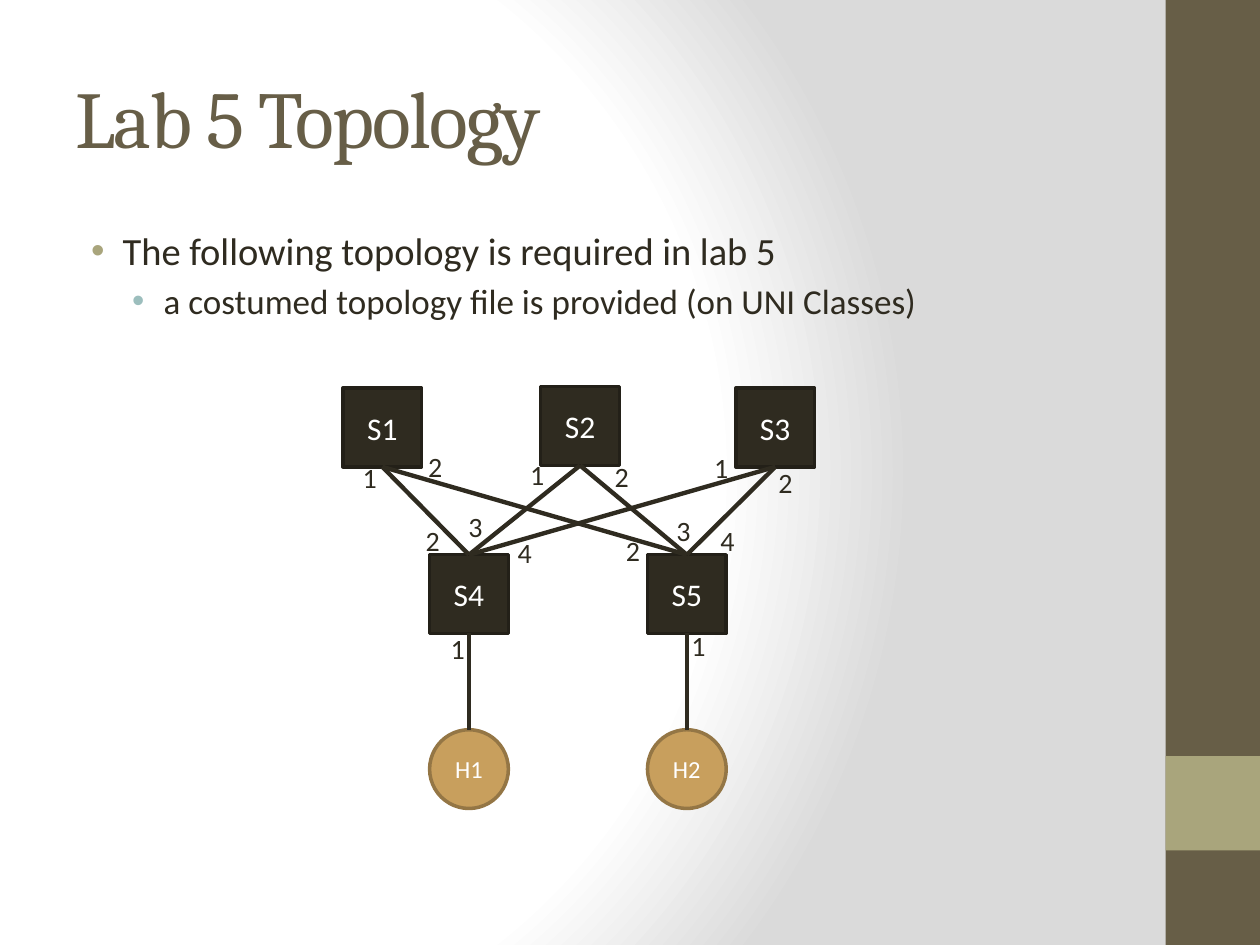
from lxml import etree
from pptx import Presentation
from pptx.dml.color import RGBColor
from pptx.enum.shapes import MSO_CONNECTOR, MSO_SHAPE
from pptx.enum.text import MSO_ANCHOR, PP_ALIGN
from pptx.oxml.ns import qn
from pptx.util import Pt

RECT, OVAL = MSO_SHAPE.RECTANGLE, MSO_SHAPE.OVAL
LINE = MSO_CONNECTOR.STRAIGHT
TOP, MID = MSO_ANCHOR.TOP, MSO_ANCHOR.MIDDLE
LEFT, CENTER = PP_ALIGN.LEFT, PP_ALIGN.CENTER

WHITE = RGBColor(0xFF, 0xFF, 0xFF)
GRAY = RGBColor(0xDA, 0xDA, 0xDA)
BROWN = RGBColor(0x67, 0x5E, 0x47)
OLIVE = RGBColor(0xA9, 0xA5, 0x7C)
TEAL = RGBColor(0x9C, 0xBE, 0xBD)
DARK = RGBColor(0x2F, 0x2B, 0x20)
EDGE = RGBColor(0x23, 0x20, 0x18)
GOLD = RGBColor(0xC8, 0x9F, 0x5D)
RIM = RGBColor(0x94, 0x76, 0x45)

NODE = 45
NODES = {
    "S1": (0, 0.8), "S2": (113, 0), "S3": (224.5, 0.8),
    "S4": (49.5, 96), "S5": (174, 96),
    "H1": (49.5, 196), "H2": (174, 196),
}
LINKS = [(up, low) for up in ("S1", "S2", "S3") for low in ("S4", "S5")]
LINKS += [("S4", "H1"), ("S5", "H2")]
PORTS = [
    ("1", 2.7, 43.2), ("2", 40.2, 36.8),
    ("1", 98.5, 41.8), ("2", 146.7, 42.5),
    ("1", 203.6, 37.5), ("2", 240.3, 46.1),
    ("2", 38.7, 79.2), ("3", 63.2, 71.3), ("4", 91.3, 86.4),
    ("2", 153.2, 85), ("3", 182, 73.5), ("4", 207.2, 79.2),
    ("1", 53.1, 141.2), ("1", 190.6, 139),
]


def add_xml(parent, tag, **attrs):
    return etree.SubElement(parent, qn(tag), attrs)


def write(para, text, size=18, font="Calibri", color=DARK, align=LEFT, track=0):
    para.alignment = align
    run = para.add_run()
    run.text = text
    run.font.size = Pt(size)
    run.font.name = font
    run.font.color.rgb = color
    if track:
        run.font._element.set("spc", str(track * 100))


def set_frame(shape, anchor, side=7.2, ends=3.6):
    frame = shape.text_frame
    frame.word_wrap = True
    frame.vertical_anchor = anchor
    frame.margin_left = frame.margin_right = Pt(side)
    frame.margin_top = frame.margin_bottom = Pt(ends)
    return frame


def add_box(shapes, kind, box, fill, edge=None):
    shape = shapes.add_shape(kind, *map(Pt, box))
    shape.shadow.inherit = False
    shape.fill.solid()
    shape.fill.fore_color.rgb = fill
    if edge is None:
        shape.line.fill.background()
    else:
        shape.line.color.rgb = edge
        shape.line.width = Pt(2)
    return shape


def add_back(slide):
    slide.background.fill.gradient()
    grad = slide._element.find(".//" + qn("a:gradFill"))
    for child in list(grad):
        grad.remove(child)
    stops = add_xml(grad, "a:gsLst")
    for pos, color in ((0, WHITE), (75, WHITE), (100, GRAY)):
        stop = add_xml(stops, "a:gs", pos=str(pos * 1000))
        add_xml(stop, "a:srgbClr", val=str(color))
    ring = add_xml(grad, "a:path", path="circle")
    add_xml(ring, "a:fillToRect", l="20000", t="50000", r="100000", b="50000")


def add_band(slide, x, y, w, h):
    add_box(slide.shapes, RECT, (x, y, w, h), BROWN)
    add_box(slide.shapes, RECT, (x, y + 0.8 * h, w, w), OLIVE)


def add_title(slide, box, text):
    frame = set_frame(slide.shapes.add_textbox(*map(Pt, box)), MID)
    write(frame.paragraphs[0], text, size=46, font="Cambria", color=BROWN, track=-1)


def add_list(slide, box, items):
    frame = set_frame(slide.shapes.add_textbox(*map(Pt, box)), TOP)
    for num, (text, level, size, indent, color) in enumerate(items):
        para = frame.add_paragraph() if num else frame.paragraphs[0]
        para.level = level
        para.space_before = Pt(size * 0.2)
        write(para, text, size=size)
        props = para._p.get_or_add_pPr()
        props.set("marL", str(Pt(indent)))
        props.set("indent", str(Pt(-18)))
        add_xml(add_xml(props, "a:buClr"), "a:srgbClr", val=str(color))
        add_xml(props, "a:buFont", typeface="Arial")
        add_xml(props, "a:buChar", char="•")


def add_link(shapes, start, end):
    link = shapes.add_connector(LINE, start.left, start.top, end.left, end.top)
    link.begin_connect(start, 2)
    link.end_connect(end, 0)
    link.line.color.rgb = DARK
    link.line.width = Pt(2.5)
    add_xml(link._element.spPr, "a:effectLst")


def add_net(slide, x, y):
    shapes = slide.shapes.add_group_shape().shapes
    nodes = {}
    for name, (dx, dy) in NODES.items():
        host = name.startswith("H")
        kind, fill, edge, size = (OVAL, GOLD, RIM, 14) if host else (RECT, DARK, EDGE, 18)
        node = add_box(shapes, kind, (x + dx, y + dy, NODE, NODE), fill, edge)
        frame = set_frame(node, MID, side=0)
        write(frame.paragraphs[0], name, size=size, color=WHITE, align=CENTER)
        nodes[name] = node
    for start, end in LINKS:
        add_link(shapes, nodes[start], nodes[end])
    for text, dx, dy in PORTS:
        port = shapes.add_textbox(Pt(x + dx), Pt(y + dy), Pt(25), Pt(17))
        frame = set_frame(port, MID, side=0, ends=0)
        write(frame.paragraphs[0], text, size=16, align=CENTER)


deck = Presentation()
deck.slide_width, deck.slide_height = Pt(720), Pt(540)
slide = deck.slides.add_slide(deck.slide_layouts[6])
add_back(slide)
add_band(slide, 666, 0, 54, 540)
add_title(slide, (36, 21.6, 600, 90), "Lab 5 Topology")
add_list(slide, (36, 126, 600, 378), [
    ("The following topology is required in lab 5", 0, 22, 27, OLIVE),
    ("a costumed topology file is provided (on UNI Classes)", 1, 20, 50.4, TEAL),
])
add_net(slide, 196, 221)
deck.save("out.pptx")
